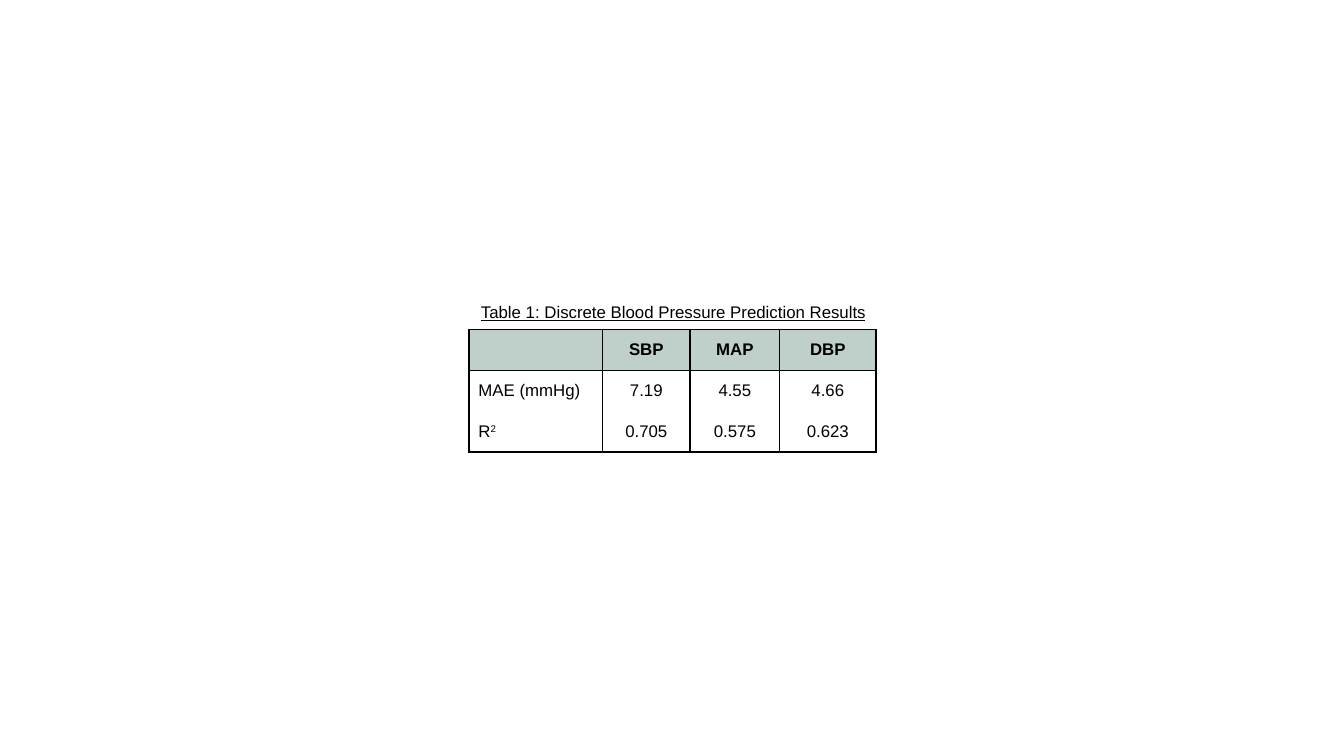
import pptx
import pptx.util
import pptx.dml.color
import pptx.enum.text
import pptx.oxml.ns
import lxml.etree

BLACK = pptx.dml.color.RGBColor(0x00, 0x00, 0x00)
WHITE = pptx.dml.color.RGBColor(0xFF, 0xFF, 0xFF)
SAGE = pptx.dml.color.RGBColor(0xBF, 0xD0, 0xCA)
FONT = "Arial"
SIZE = pptx.util.Pt(9)
WIDE = pptx.util.Inches(10)
HIGH = WIDE * 9 // 16

ROWS = [
    ["", "SBP", "MAP", "DBP"],
    ["MAE (mmHg)", "7.19", "4.55", "4.66"],
    ["R2", "0.705", "0.575", "0.623"],
]
COLS = [9.92, 6.54, 6.64, 7.2]  # percent of slide width


def across(part):
    """Length as a percentage of the slide's width."""
    return int(WIDE * part / 100)


def down(part):
    """Length as a percentage of the slide's height."""
    return int(HIGH * part / 100)


def style(run, bold=False, line=False):
    font = run.font
    font.name, font.size, font.bold = FONT, SIZE, bold
    font.underline = line
    font.color.rgb = BLACK


def node(parent, tag, **attrs):
    return lxml.etree.SubElement(parent, pptx.oxml.ns.qn(tag), attrs)


def border(cell, sides):
    """Draw the given sides in black and clear the others."""
    props = cell._tc.get_or_add_tcPr()
    for spot, side in enumerate("LRTB"):
        edge = node(props, "a:ln" + side, w=str(pptx.util.Pt(1)))
        if side in sides:
            node(node(edge, "a:solidFill"), "a:srgbClr", val=str(BLACK))
        else:
            node(edge, "a:noFill")
        props.insert(spot, edge)


def raise_last(para):
    """Turn the last character into a superscript run."""
    base = para.runs[0]
    power = para.add_run()
    base.text, power.text = base.text[:-1], base.text[-1]
    style(power)
    power.font._element.set("baseline", "30000")


def fill_cell(cell, text, row, col):
    cell.fill.solid()
    cell.fill.fore_color.rgb = SAGE if row == 0 else WHITE
    cell.vertical_anchor = pptx.enum.text.MSO_ANCHOR.MIDDLE
    cell.margin_left = cell.margin_right = pptx.util.Inches(0.07)
    cell.margin_top = cell.margin_bottom = pptx.util.Inches(0.04)
    para = cell.text_frame.paragraphs[0]
    if text:
        para.text = text
        style(para.runs[0], bold=row == 0)
    else:
        node(para._p, "a:endParaRPr", sz=str(int(SIZE.pt * 100)))
    if col:
        para.alignment = pptx.enum.text.PP_ALIGN.CENTER
    if text == "R2":
        raise_last(para)
    border(cell, ["LRTB", "LRT", "LRB"][row])


def add_grid(slide):
    frame = slide.shapes.add_table(
        len(ROWS), len(COLS), across(34.9), down(43.6),
        across(sum(COLS)), down(16.25))
    table = frame.table
    table.horz_banding = False
    for col, part in zip(table.columns, COLS):
        col.width = across(part)
    for row, texts in enumerate(ROWS):
        for col, text in enumerate(texts):
            fill_cell(table.cell(row, col), text, row, col)


def add_label(slide, text):
    box = slide.shapes.add_textbox(
        across(34.8), down(39.1), across(30.7), down(7.1))
    box.text_frame.word_wrap = True
    para = box.text_frame.paragraphs[0]
    para.text = text
    style(para.runs[0], line=True)


def main():
    deck = pptx.Presentation()
    deck.slide_width, deck.slide_height = WIDE, HIGH
    slide = deck.slides.add_slide(deck.slide_layouts[6])
    # Results table
    add_grid(slide)
    # Caption above it
    add_label(slide, "Table 1: Discrete Blood Pressure Prediction Results")
    deck.save("out.pptx")


main()
